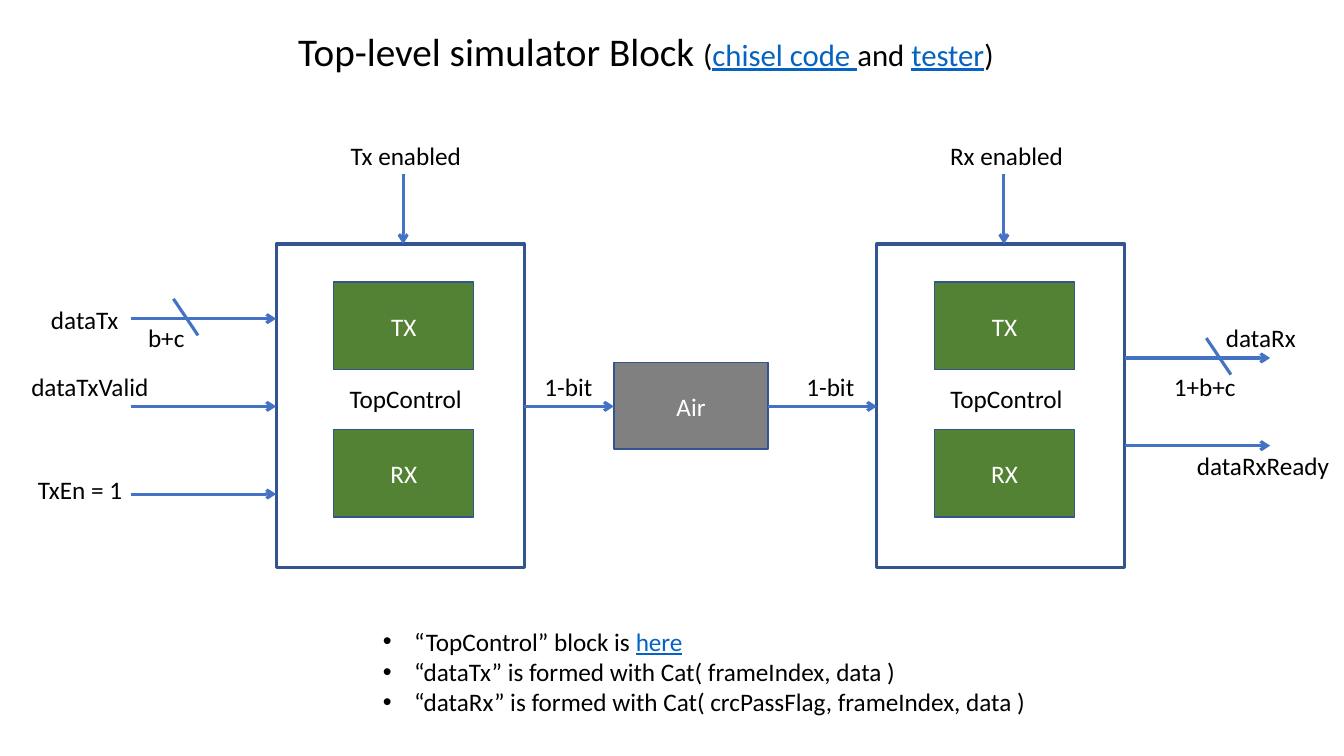
from lxml import etree
from pptx import Presentation
from pptx.dml.color import RGBColor
from pptx.enum.shapes import MSO_CONNECTOR, MSO_SHAPE
from pptx.enum.text import MSO_ANCHOR, MSO_AUTO_SIZE, PP_ALIGN
from pptx.oxml.ns import qn
from pptx.util import Cm, Pt

STRAIGHT = MSO_CONNECTOR.STRAIGHT
RECTANGLE = MSO_SHAPE.RECTANGLE
TOP, MIDDLE = MSO_ANCHOR.TOP, MSO_ANCHOR.MIDDLE
LEFT, CENTER = PP_ALIGN.LEFT, PP_ALIGN.CENTER
NO_AUTOFIT = MSO_AUTO_SIZE.NONE

COLORS = {
    "text": "000000", "white": "FFFFFF", "link": "0563C1", "wire": "4472C4",
    "border": "325491", "radio": "548235", "air": "808080",
}


def color(name):
    """Return the named colour."""
    return RGBColor.from_string(COLORS[name])


class Diagram:
    """Holds the style and the current slide."""

    font, size, wire_width = "Calibri", 18, 2.25

    def __init__(self, slide):
        self.slide = slide

    def add_runs(self, paragraph, runs, align=CENTER):
        """Add (text, colour, size) runs; link-coloured ones are underlined."""
        paragraph.alignment = align
        for text, tint, size in runs:
            run = paragraph.add_run()
            run.text = text
            run.font.name, run.font.size = self.font, Pt(size)
            run.font.color.rgb = color(tint)
            run.font.underline = tint == "link"

    def title(self, left, top, width, height, runs):
        """Place and fill the title placeholder."""
        heading = self.slide.shapes.title
        heading.left, heading.top = Cm(left), Cm(top)
        heading.width, heading.height = Cm(width), Cm(height)
        frame = heading.text_frame
        frame.auto_size, frame.vertical_anchor = NO_AUTOFIT, TOP
        self.add_runs(frame.paragraphs[0], runs)

    def label(self, left, top, width, text):
        """Add a centred one-line label."""
        frame = self.slide.shapes.add_textbox(
            Cm(left), Cm(top), Cm(width), Cm(1.02)).text_frame
        frame.word_wrap = True
        frame.margin_left = frame.margin_right = 0
        self.add_runs(frame.paragraphs[0], [(text, "text", self.size)])

    def bullets(self, left, top, width, height, items):
        """Add a bulleted list, each item a list of runs."""
        frame = self.slide.shapes.add_textbox(
            Cm(left), Cm(top), Cm(width), Cm(height)).text_frame
        frame.word_wrap = True
        for index, runs in enumerate(items):
            paragraph = frame.add_paragraph() if index else frame.paragraphs[0]
            self.add_runs(paragraph, runs, LEFT)
            properties = paragraph._p.get_or_add_pPr()
            properties.set("marL", str(Cm(0.79)))
            properties.set("indent", str(-Cm(0.79)))
            etree.SubElement(properties, qn("a:buFont"), typeface="Arial")
            etree.SubElement(properties, qn("a:buChar"), char="•")

    def box(self, left, top, width, height, fill=None, text="", border=1):
        """Add a bordered rectangle, filled and captioned on request."""
        block = self.slide.shapes.add_shape(
            RECTANGLE, Cm(left), Cm(top), Cm(width), Cm(height))
        block.shadow.inherit = False
        block.line.color.rgb, block.line.width = color("border"), Pt(border)
        if fill:
            block.fill.solid()
            block.fill.fore_color.rgb = color(fill)
        else:
            block.fill.background()
        if text:
            block.text_frame.vertical_anchor = MIDDLE
            self.add_runs(block.text_frame.paragraphs[0],
                          [(text, "white", self.size)])

    def wire(self, x1, y1, x2, y2, arrow=True):
        """Add a straight line, with an arrowhead at its end by default."""
        line = self.slide.shapes.add_connector(
            STRAIGHT, Cm(x1), Cm(y1), Cm(x2), Cm(y2))
        line.line.color.rgb = color("wire")
        line.line.width = Pt(self.wire_width)
        if arrow:
            etree.SubElement(line.line._get_or_add_ln(), qn("a:tailEnd"),
                             type="arrow")
        etree.SubElement(line._element.spPr, qn("a:effectLst"))

    def bus_mark(self, x, wire_y):
        """Strike a wire through to show that it carries several bits."""
        self.wire(x, wire_y - 0.5, x + 0.62, wire_y + 0.42, arrow=False)


BLOCK_TOP, BLOCK_WIDTH, BLOCK_HEIGHT = 6.15, 6.25, 8.15
SENDER_LEFT, RECEIVER_LEFT = 6.96, 22.1
SENDER_RIGHT = SENDER_LEFT + BLOCK_WIDTH
RECEIVER_RIGHT = RECEIVER_LEFT + BLOCK_WIDTH
AIR_LEFT, AIR_WIDTH = 15.47, 3.89
CHANNEL_Y, PORT_STEP, PORT_LENGTH = 10.24, 2.21, 3.66
INPUT_LEFT = SENDER_LEFT - PORT_LENGTH
DATA_IN_Y, DATA_OUT_Y = CHANNEL_Y - PORT_STEP, 9.02

presentation = Presentation()
presentation.slide_width, presentation.slide_height = Cm(33.87), Cm(19.05)
diagram = Diagram(presentation.slides.add_slide(presentation.slide_layouts[5]))

diagram.title(6.43, 0.56, 19.69, 1.45, [
    ("Top-level simulator Block ", "text", 28), ("(", "text", 22),
    ("chisel code ", "link", 22), ("and ", "text", 22),
    ("tester", "link", 22), (")", "text", 22)])

# Sender and receiver share one layout
for block_left, enable in ((SENDER_LEFT, "Tx enabled"),
                           (RECEIVER_LEFT, "Rx enabled")):
    diagram.box(block_left, BLOCK_TOP, BLOCK_WIDTH, BLOCK_HEIGHT, border=2.25)
    for radio_top, radio in ((7.11, "TX"), (10.82, "RX")):
        diagram.box(block_left + 1.45, radio_top, 3.53, 2.21, "radio", radio)
    diagram.label(block_left + 1.4, 9.54, 3.73, "TopControl")
    diagram.label(block_left + 1.4, 3.42, 3.73, enable)
    enable_x = block_left + 3.2
    diagram.wire(enable_x, 4.38, enable_x, BLOCK_TOP)

# Channel between the blocks
diagram.box(AIR_LEFT, 9.14, AIR_WIDTH, 2.18, "air", "Air")
for start, end, label_left in (
        (SENDER_RIGHT, AIR_LEFT, 12.93),
        (AIR_LEFT + AIR_WIDTH, RECEIVER_LEFT, 19.53)):
    diagram.wire(start, CHANNEL_Y, end, CHANNEL_Y)
    diagram.label(label_left, 9.22, 2.79, "1-bit")

# Ports
for port_left, first_y, count in ((INPUT_LEFT, DATA_IN_Y, 3),
                                  (RECEIVER_RIGHT, DATA_OUT_Y, 2)):
    for row in range(count):
        port_y = first_y + row * PORT_STEP
        diagram.wire(port_left, port_y, port_left + PORT_LENGTH, port_y)
diagram.bus_mark(INPUT_LEFT + 1.07, DATA_IN_Y)
diagram.bus_mark(RECEIVER_RIGHT + 2.05, DATA_OUT_Y)

for left, top, width, signal in (
        (0.38, 7.54, 3.51, "dataTx"), (3.35, 8.0, 1.68, "b+c"),
        (0.51, 9.22, 3.51, "dataTxValid"), (0.15, 11.84, 3.73, "TxEn = 1"),
        (30.02, 8.0, 3.51, "dataRx"), (29.13, 9.22, 2.46, "1+b+c"),
        (29.9, 11.23, 3.86, "dataRxReady")):
    diagram.label(left, top, width, signal)

diagram.bullets(9.4, 15.65, 17.15, 2.57, [
    [("“TopControl” block is ", "text", 18), ("here", "link", 18)],
    [("“dataTx” is formed with Cat( frameIndex, data )", "text", 18)],
    [("“dataRx” is formed with Cat( crcPassFlag, frameIndex, data )",
      "text", 18)]])

presentation.save("out.pptx")
